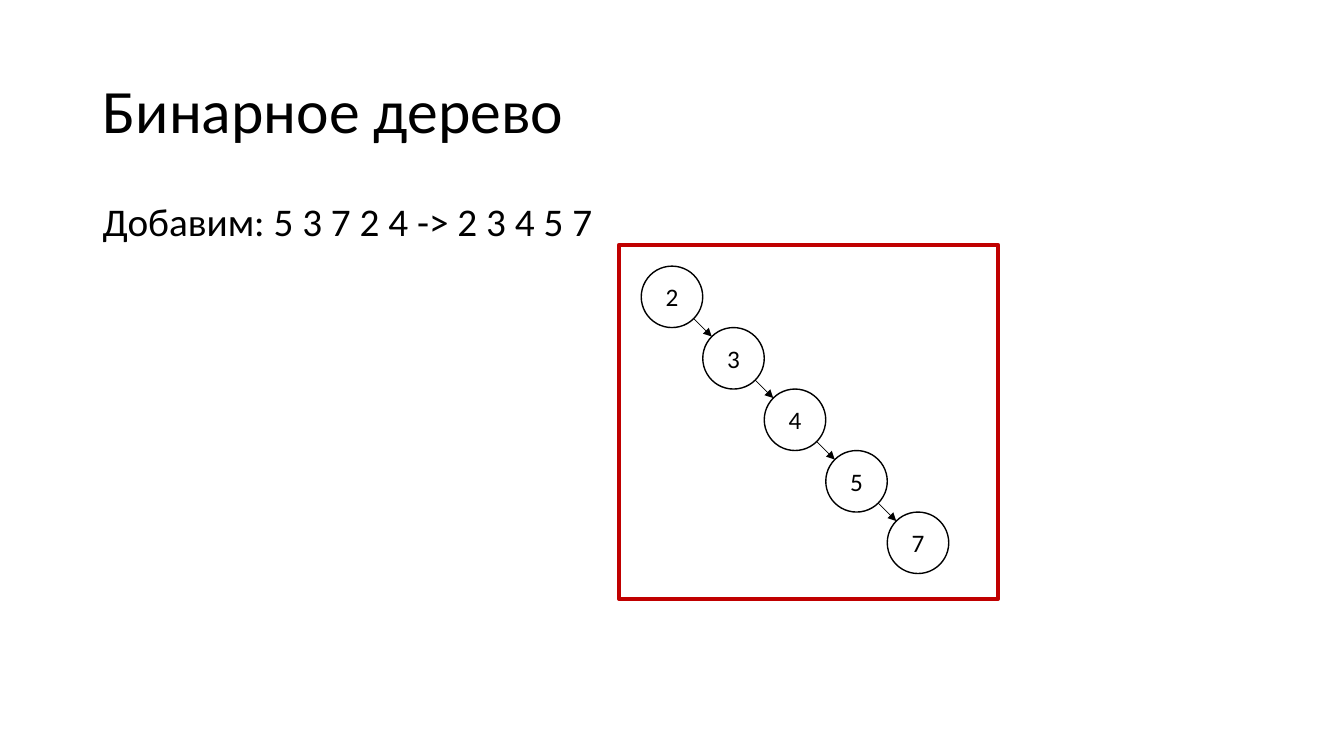
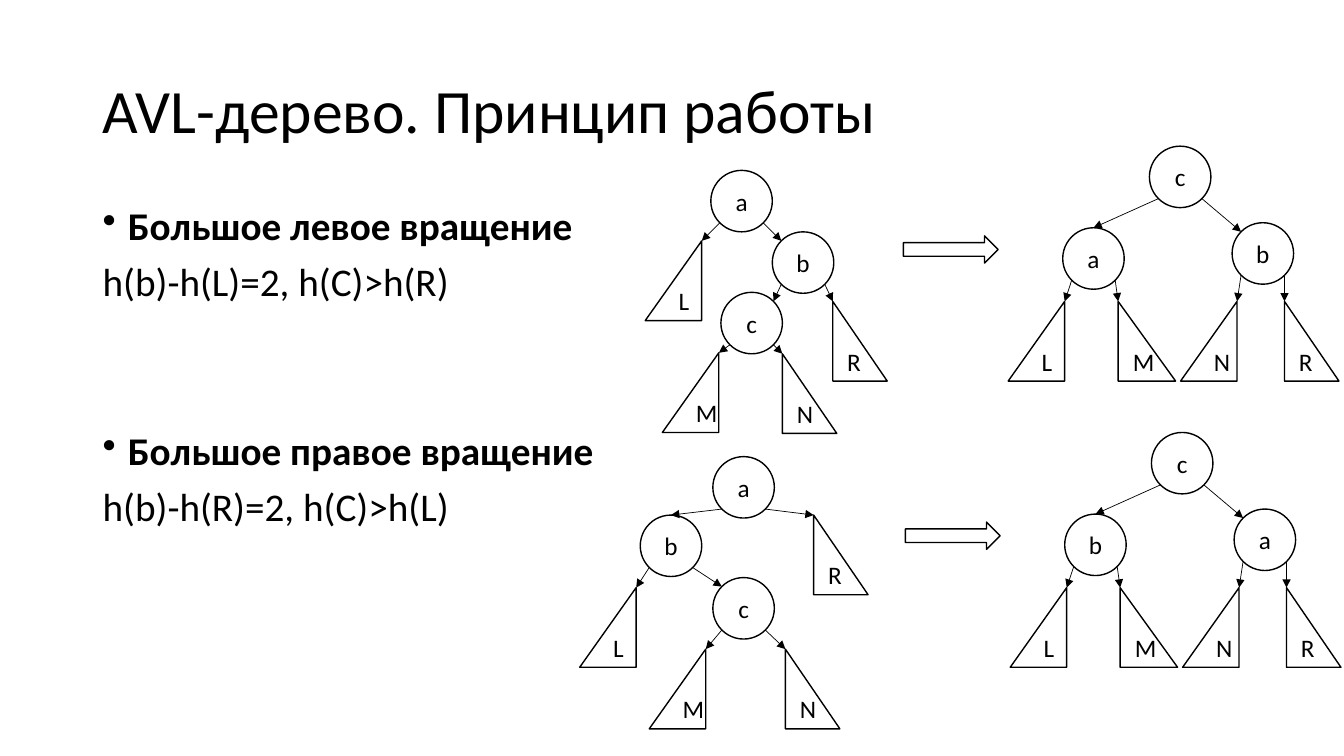
from dataclasses import dataclass
from math import sqrt

from lxml.etree import SubElement
from pptx import Presentation
from pptx.dml.color import RGBColor
from pptx.enum.shapes import MSO_CONNECTOR, MSO_SHAPE
from pptx.enum.text import MSO_ANCHOR, PP_ALIGN
from pptx.oxml.ns import qn
from pptx.util import Inches, Pt

COLORS = {"ink": "000000", "paper": "FFFFFF", "frame": "C00000"}
FONT = "Calibri"
NODE_SIZE = 0.61
CORNER = NODE_SIZE * (1 - 1 / sqrt(2)) / 2
LEAF_HEIGHT = 0.79
LEFT_LEAF_WIDTH = 0.56


@dataclass
class Leaf:
    label: str
    tip_x: float
    tip_y: float
    width: float = 0.54


@dataclass
class Node:
    label: str
    x: float
    y: float
    left: object = None
    right: object = None


def color(name):
    return RGBColor.from_string(COLORS[name])


def assign(target, formats):
    for attribute, value in formats.items():
        setattr(target, attribute, value)


class Deck:
    def __init__(self):
        self.presentation = Presentation()
        assign(self.presentation, {"slide_width": Inches(13.33), "slide_height": Inches(7.5)})
        self.slide = None

    def new_slide(self, title):
        self.slide = self.presentation.slides.add_slide(self.presentation.slide_layouts[6])
        frame = self.text_frame(0.92, 0.4, 11.5, 1.45, MSO_ANCHOR.MIDDLE)
        self.paragraph(frame.paragraphs[0], title, size=44, space_before=0)

    def text_frame(self, left, top, width, height, anchor=MSO_ANCHOR.TOP):
        box = self.slide.shapes.add_textbox(*map(Inches, (left, top, width, height)))
        assign(box.text_frame, {"word_wrap": True, "vertical_anchor": anchor})
        return box.text_frame

    def run(self, paragraph, text, size, bold=False):
        run = paragraph.add_run()
        run.text = text
        assign(run.font, {"name": FONT, "size": Pt(size), "bold": bold})
        run.font.color.rgb = color("ink")

    def paragraph(self, paragraph, text, size=28, spacing=0.9, space_before=10, bullet=False):
        assign(paragraph, {"line_spacing": spacing, "space_before": Pt(space_before)})
        if bullet:
            properties = paragraph._p.get_or_add_pPr()
            properties.set("marL", str(Inches(0.25)))
            properties.set("indent", str(Inches(-0.25)))
            SubElement(properties, qn("a:buChar")).set("char", "•")
        self.run(paragraph, text, size, bold=bullet)

    def body(self, width, height, rows):
        frame = self.text_frame(0.92, 2, width, height)
        for index, (text, formats) in enumerate(rows):
            paragraph = frame.add_paragraph() if index else frame.paragraphs[0]
            self.paragraph(paragraph, text, **formats)

    def outline(self, preset, left, top, width, height, label="", line="ink", weight=1, filled=True):
        shape = self.slide.shapes.add_shape(preset, *map(Inches, (left, top, width, height)))
        shape.shadow.inherit = False
        if filled:
            shape.fill.solid()
            shape.fill.fore_color.rgb = color("paper")
        else:
            shape.fill.background()
        shape.line.color.rgb = color(line)
        shape.line.width = Pt(weight)
        if label:
            shape.text_frame.vertical_anchor = MSO_ANCHOR.MIDDLE
            paragraph = shape.text_frame.paragraphs[0]
            paragraph.alignment = PP_ALIGN.CENTER
            self.run(paragraph, label, 18)
        return shape

    def edge(self, start, end):
        edge = self.slide.shapes.add_connector(MSO_CONNECTOR.STRAIGHT, *map(Inches, start + end))
        edge.line.color.rgb = color("ink")
        edge.line.width = Pt(0.5)
        SubElement(edge.line._get_or_add_ln(), qn("a:tailEnd")).set("type", "triangle")
        SubElement(edge._element.spPr, qn("a:effectLst"))

    def leaf(self, leaf, is_left):
        width = LEFT_LEAF_WIDTH if is_left else leaf.width
        left = leaf.tip_x - width if is_left else leaf.tip_x
        triangle = self.outline(MSO_SHAPE.RIGHT_TRIANGLE, left, leaf.tip_y, width, LEAF_HEIGHT, leaf.label)
        if is_left:
            triangle._element.spPr.xfrm.set("flipH", "1")

    def tree(self, node):
        self.outline(MSO_SHAPE.OVAL, node.x, node.y, NODE_SIZE, NODE_SIZE, node.label)
        for child, is_left in ((node.left, True), (node.right, False)):
            if child is None:
                continue
            if isinstance(child, Leaf):
                self.leaf(child, is_left)
                end = (child.tip_x, child.tip_y)
            else:
                self.tree(child)
                end = self.entry(node, child, is_left)
            offset = CORNER if is_left else NODE_SIZE - CORNER
            self.edge((node.x + offset, node.y + NODE_SIZE - CORNER), end)

    def entry(self, parent, child, is_left):
        if not is_left:
            return child.x + CORNER, child.y + CORNER
        if parent.x - child.x > NODE_SIZE:
            return child.x + NODE_SIZE / 2, child.y
        return child.x + NODE_SIZE - CORNER, child.y + CORNER

    def rotation(self, before, dx, dy, left_label, right_label):
        self.tree(before)
        self.outline(MSO_SHAPE.RIGHT_ARROW, 8.96 + dx, 2.34 + dy, 0.94, 0.27)
        tips = dy + 2.99
        self.tree(Node(
            "c", 11.4 + dx, 1.45 + dy,
            Node(left_label, 10.54 + dx, 2.26 + dy,
                 Leaf("L", 10.56 + dx, tips), Leaf("M", 11.09 + dx, tips, 0.57)),
            Node(right_label, 12.22 + dx, 2.21 + dy,
                 Leaf("N", 12.27 + dx, tips), Leaf("R", 12.74 + dx, tips)),
        ))


def binary_tree(deck):
    deck.new_slide("Бинарное дерево")
    deck.body(11.5, 0.49, [("Добавим: 5 3 7 2 4 -> 2 3 4 5 7", {"spacing": 0.8})])
    chain = None
    for level, key in reversed(list(enumerate("23457"))):
        chain = Node(key, 6.36 + level * NODE_SIZE, 2.64 + level * NODE_SIZE, right=chain)
    deck.tree(chain)
    deck.outline(MSO_SHAPE.RECTANGLE, 6.14, 2.43, 3.76, 3.51, line="frame", weight=3, filled=False)


def avl_rotations(deck):
    deck.new_slide("AVL-дерево. Принцип работы")
    deck.body(5.15, 4.76, [
        ("Большое левое вращение", {"bullet": True}),
        ("h(b)-h(L)=2, h(C)>h(R)", {}),
        ("Большое правое вращение", {"bullet": True, "space_before": 90}),
        ("h(b)-h(R)=2, h(C)>h(L)", {}),
    ])
    right_heavy = Node(
        "а", 7.05, 1.69,
        Leaf("L", 6.96, 2.39),
        Node("b", 7.66, 2.3,
             Node("c", 7.15, 2.9, Leaf("M", 7.13, 3.5), Leaf("N", 7.76, 3.51)),
             Leaf("R", 8.26, 2.99)),
    )
    left_heavy = Node(
        "а", 7.07, 4.53,
        Node("b", 6.35, 5.11,
             Leaf("L", 6.31, 5.83),
             Node("c", 7.07, 5.73, Leaf("M", 7, 6.44), Leaf("N", 7.79, 6.44))),
        Leaf("R", 8.07, 5.11),
    )
    deck.rotation(right_heavy, 0, 0, "а", "b")
    deck.rotation(left_heavy, 0.02, 2.84, "b", "a")


def main():
    deck = Deck()
    binary_tree(deck)
    avl_rotations(deck)
    deck.presentation.save("out.pptx")


if __name__ == "__main__":
    main()
